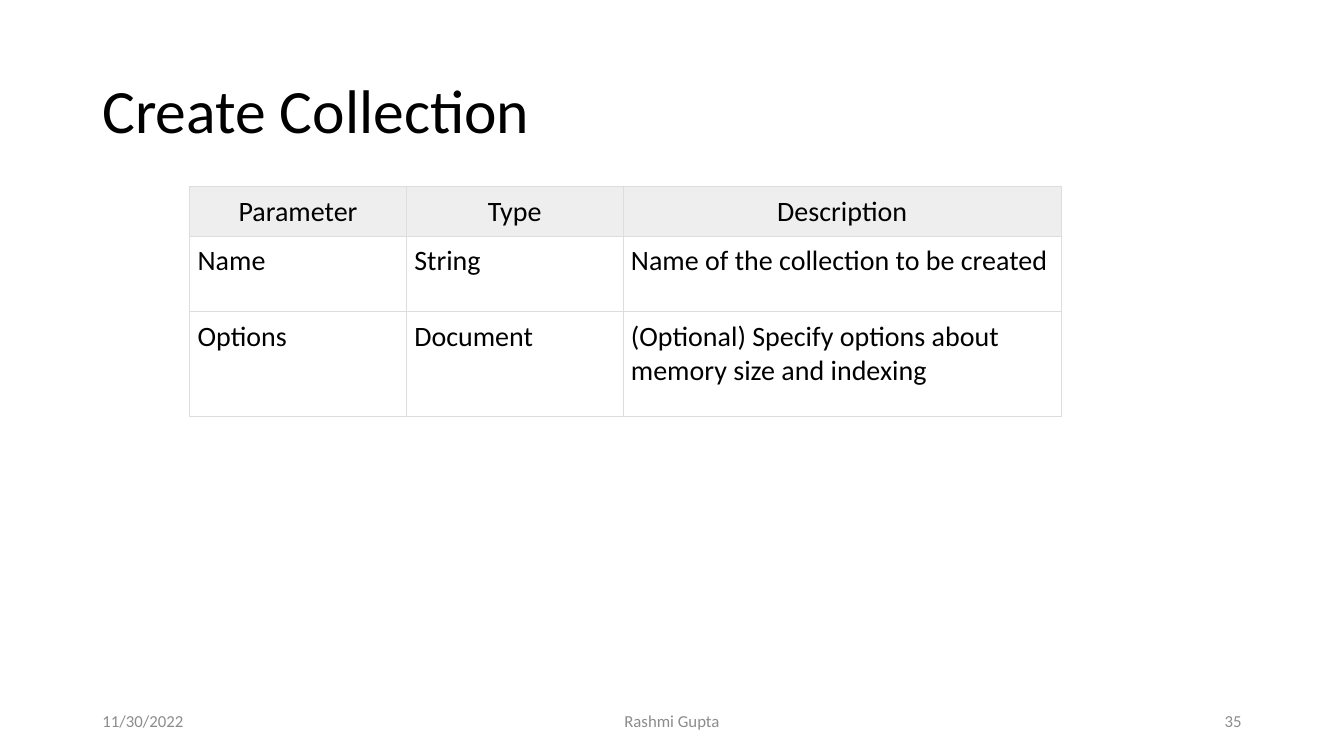
from lxml import etree
from pptx import Presentation
from pptx.dml.color import RGBColor
from pptx.enum import text
from pptx.oxml import ns
from pptx.util import Cm, Pt

BLACK = RGBColor(0x00, 0x00, 0x00)
GRAY = RGBColor(0x8C, 0x8C, 0x8C)
HEADER_FILL = RGBColor(0xEE, 0xEE, 0xEE)
BORDER = RGBColor(0xDD, 0xDD, 0xDD)
LEFT, CENTER, RIGHT = text.PP_ALIGN.LEFT, text.PP_ALIGN.CENTER, text.PP_ALIGN.RIGHT


def write(frame, words, size, color, align):
    frame.text = words
    frame.word_wrap = True
    paragraph = frame.paragraphs[0]
    paragraph.alignment = align
    font = paragraph.runs[0].font
    font.name, font.size = "Calibri", Pt(size)
    font.color.rgb = color


def add_borders(cell):
    """Draw all four sides; call before the fill, which must follow them in the XML."""
    properties = cell._tc.get_or_add_tcPr()
    for side in ("lnL", "lnR", "lnT", "lnB"):
        line = etree.SubElement(properties, ns.qn(f"a:{side}"), w=str(Pt(0.75)))
        solid = etree.SubElement(line, ns.qn("a:solidFill"))
        etree.SubElement(solid, ns.qn("a:srgbClr"), val=str(BORDER))


presentation = Presentation()
presentation.slide_width, presentation.slide_height = Cm(33.87), Cm(19.05)
slide = presentation.slides.add_slide(presentation.slide_layouts[6])

# Title and footer
labels = [
    ("Create Collection", 2.33, 1.01, 29.21, 3.68, 44, BLACK, LEFT),
    ("11/30/2022", 2.33, 17.66, 7.62, 1.01, 12, GRAY, LEFT),
    ("Rashmi Gupta", 11.22, 17.66, 11.43, 1.01, 12, GRAY, CENTER),
    ("35", 23.92, 17.66, 7.62, 1.01, 12, GRAY, RIGHT),
]
for words, left, top, width, height, size, color, align in labels:
    label = slide.shapes.add_textbox(Cm(left), Cm(top), Cm(width), Cm(height))
    label.text_frame.vertical_anchor = text.MSO_ANCHOR.MIDDLE
    write(label.text_frame, words, size, color, align)
    if size == 44:
        label.text_frame.paragraphs[0].line_spacing = 0.9

# Parameter table
parameters = [
    ("Parameter", "Type", "Description"),
    ("Name", "String", "Name of the collection to be created"),
    ("Options", "Document", "(Optional) Specify options about memory size and indexing"),
]
column_widths = [5.46, 5.46, 11.05]
row_heights = [1.14, 1.9, 2.64]
table = slide.shapes.add_table(
    len(row_heights), len(column_widths), Cm(4.78), Cm(4.7),
    Cm(sum(column_widths)), Cm(sum(row_heights))).table
table.horz_banding = False
table.first_row = True
for column, width in zip(table.columns, column_widths):
    column.width = Cm(width)
for r, (row, height, entries) in enumerate(zip(table.rows, row_heights, parameters)):
    row.height = Cm(height)
    for cell, entry in zip(row.cells, entries):
        cell.margin_left = cell.margin_right = Cm(0.2)
        cell.margin_top = cell.margin_bottom = Cm(0.2)
        write(cell.text_frame, entry, 20, BLACK, LEFT if r else CENTER)
        cell.text_frame.paragraphs[0].runs[0].font.bold = False
        add_borders(cell)
        if r:
            cell.fill.background()
        else:
            cell.fill.solid()
            cell.fill.fore_color.rgb = HEADER_FILL

presentation.save("out.pptx")
